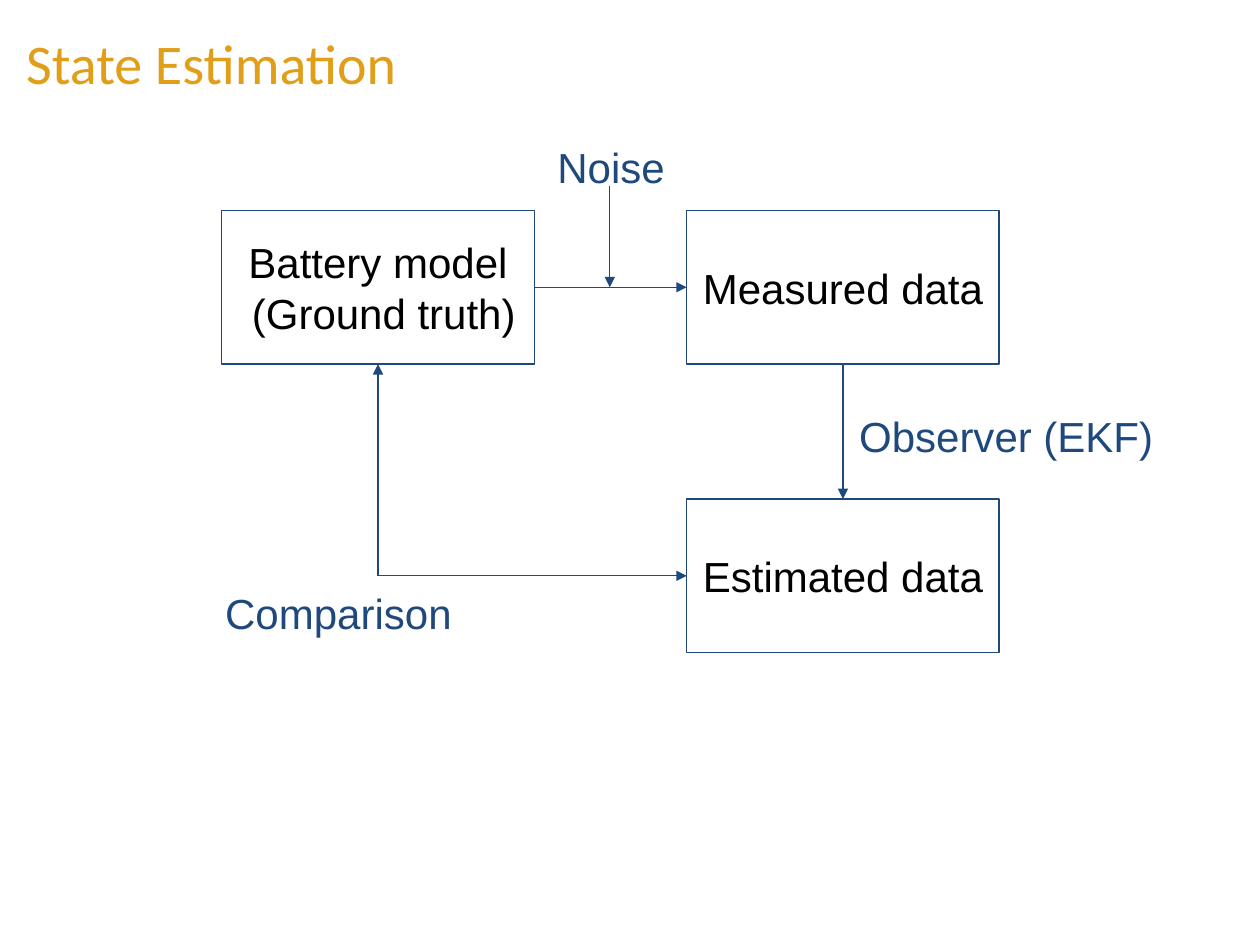
from lxml.etree import SubElement
from pptx import Presentation
from pptx.dml.color import RGBColor
from pptx.enum.shapes import MSO_CONNECTOR, MSO_SHAPE
from pptx.enum.text import MSO_ANCHOR, PP_ALIGN
from pptx.oxml.ns import qn
from pptx.util import Inches, Pt

COLORS = {"title": "E09E19", "blue": "1F497D", "black": "000000", "white": "FFFFFF"}
WIDTH, HEIGHT = 10, 7.5
TOP, LEFT, BOTTOM, RIGHT = range(4)

# Grid of the diagram: column lefts, row tops and the common box size
COLUMNS, ROWS = (1.76, 5.45), (1.67, 3.96)
BOX_WIDTH, BOX_HEIGHT = 2.48, 1.22

BOXES = {  # name: (column, row, lines)
    "model": (0, 0, ["Battery model", " (Ground truth)"]),
    "measured": (1, 0, ["Measured data"]),
    "estimated": (1, 1, ["Estimated data"]),
}
LABELS = [  # text, left, top, width, height
    ("Noise", 4.17, 1.02, 1.36, 0.46),
    ("Observer (EKF)", 6.59, 3.16, 2.79, 0.53),
    ("Comparison", 1.29, 4.56, 2.79, 0.53),
]
NOISE_START = (4.84, 1.48)
MODEL_CENTER = COLUMNS[0] + BOX_WIDTH / 2
FLOW_Y, COMPARISON_Y = (row + BOX_HEIGHT / 2 for row in ROWS)
CORNER = (MODEL_CENTER, COMPARISON_Y)
ARROWS = [  # each end is a point or a (box name, side) joint
    (("model", RIGHT), ("measured", LEFT)),
    (("measured", BOTTOM), ("estimated", TOP)),
    (NOISE_START, (NOISE_START[0], FLOW_Y)),
    (CORNER, ("model", BOTTOM)),
    (CORNER, ("estimated", LEFT)),
]


def color(name):
    return RGBColor.from_string(COLORS[name])


def write(shape, lines, color_name, size=24, font="Arial", align=PP_ALIGN.CENTER,
          margin=0.1):
    frame = shape.text_frame
    frame.word_wrap = True
    frame.margin_left = frame.margin_right = Inches(0.1)
    frame.margin_top = frame.margin_bottom = Inches(margin)
    frame.text = "\n".join(lines)
    for paragraph in frame.paragraphs:
        paragraph.alignment = align
        paragraph.font.size = Pt(size)
        paragraph.font.name = font
        paragraph.font.color.rgb = color(color_name)


def add_box(slide, column, row, lines):
    box = slide.shapes.add_shape(
        MSO_SHAPE.RECTANGLE, Inches(COLUMNS[column]), Inches(ROWS[row]),
        Inches(BOX_WIDTH), Inches(BOX_HEIGHT))
    box.shadow.inherit = False
    box.fill.solid()
    box.fill.fore_color.rgb = color("white")
    box.line.color.rgb = color("blue")
    box.line.width = Pt(0.75)
    write(box, lines, "black")
    box.text_frame.vertical_anchor = MSO_ANCHOR.MIDDLE
    return box


def add_arrow(slide, boxes, start, end):
    """Draw an arrow, joining each end that names a box."""
    points = [(0, 0) if joint[0] in boxes else joint for joint in (start, end)]
    arrow = slide.shapes.add_connector(
        MSO_CONNECTOR.STRAIGHT, *(Inches(value) for point in points for value in point))
    for joint, connect in ((start, arrow.begin_connect), (end, arrow.end_connect)):
        if joint[0] in boxes:
            connect(boxes[joint[0]], joint[1])
    arrow.line.color.rgb = color("blue")
    arrow.line.width = Pt(0.75)
    SubElement(arrow.line._get_or_add_ln(), qn("a:tailEnd"), type="triangle")
    SubElement(arrow._element.spPr, qn("a:effectLst"))


def main():
    presentation = Presentation()
    presentation.slide_width, presentation.slide_height = Inches(WIDTH), Inches(HEIGHT)
    slide = presentation.slides.add_slide(presentation.slide_layouts[6])

    title = slide.shapes.add_textbox(Inches(0.11), Inches(0.18), Inches(6.73), Inches(0.64))
    write(title, ["State Estimation"], "title", 32, "Calibri", PP_ALIGN.LEFT, 0.05)

    boxes = {name: add_box(slide, *box) for name, box in BOXES.items()}
    for start, end in ARROWS:
        add_arrow(slide, boxes, start, end)
    for text, *place in LABELS:
        label = slide.shapes.add_textbox(*map(Inches, place))
        write(label, [text], "blue")

    presentation.save("out.pptx")


if __name__ == "__main__":
    main()
